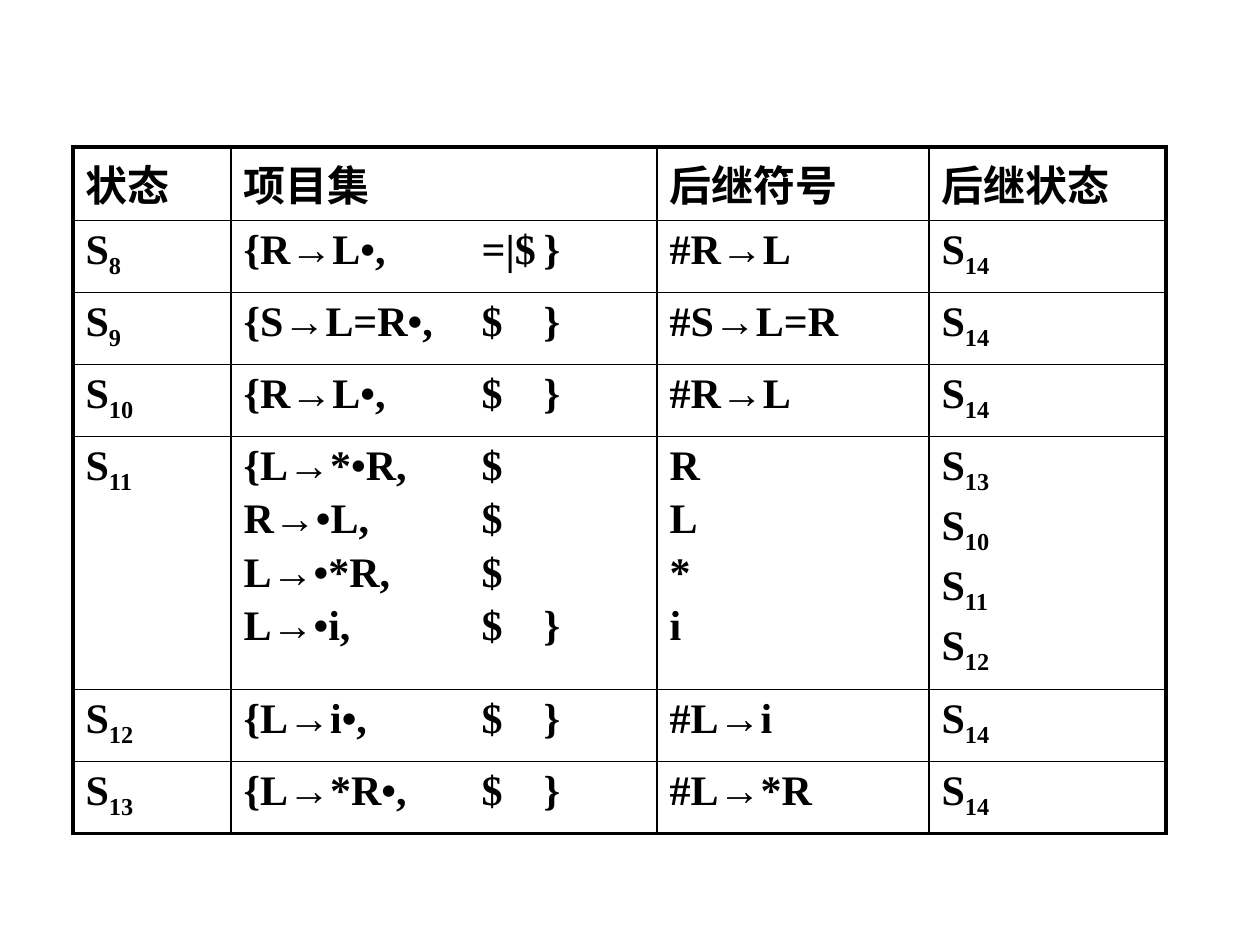
from lxml.etree import SubElement
from pptx import Presentation
from pptx.dml.color import RGBColor
from pptx.oxml.ns import qn
from pptx.util import Emu, Pt

BLACK = "000000"
FONT = "Times New Roman"
THIN, THICK = 1, 2.25
COLUMNS = [158, 426, 272, 237]
HEIGHTS = [72, 72, 72, 72, 253, 72, 72]
ITEM_TABS = [238, 300]
ROWS = [
    ["状态", "项目集", "后继符号", "后继状态"],
    ["S_8", "{R→L•,\t=|$\t}", "#R→L", "S_14"],
    ["S_9", "{S→L=R•,\t$\t}", "#S→L=R", "S_14"],
    ["S_10", "{R→L•,\t$\t}", "#R→L", "S_14"],
    ["S_11", "{L→*•R,\t$\nR→•L,\t$\nL→•*R,\t$\nL→•i,\t$\t}",
     "R\nL\n*\ni", "S_13\nS_10\nS_11\nS_12"],
    ["S_12", "{L→i•,\t$\t}", "#L→i", "S_14"],
    ["S_13", "{L→*R•,\t$\t}", "#L→*R", "S_14"],
]


def px(length):
    return Emu(round(length * 914400 / 126))


def color(value):
    return RGBColor.from_string(value)


def add_tabs(para, stops):
    tabs = SubElement(para._p.get_or_add_pPr(), qn("a:tabLst"))
    for stop in stops:
        SubElement(tabs, qn("a:tab"), pos=str(px(stop)), algn="l")


def write_line(para, line):
    if "\t" in line:
        add_tabs(para, ITEM_TABS)
    para.font.name = FONT
    para.font.size = Pt(24)
    para.font.bold = True
    para.font.color.rgb = color(BLACK)
    base, _, subscript = line.partition("_")
    para.add_run().text = base
    if subscript:
        span = para.add_run()
        span.text = subscript
        span.font._element.set("baseline", "-25000")


def write_cell(cell, text):
    frame = cell.text_frame
    for index, line in enumerate(text.split("\n")):
        para = frame.add_paragraph() if index else frame.paragraphs[0]
        if index:
            para.space_before = Pt(4)
        write_line(para, line)


def set_borders(cell, widths):
    properties = cell._tc.get_or_add_tcPr()
    for side, width in widths.items():
        line = SubElement(properties, qn(f"a:ln{side}"), w=str(Pt(width)))
        fill = SubElement(line, qn("a:solidFill"))
        SubElement(fill, qn("a:srgbClr"), val=str(color(BLACK)))
    cell.fill.background()


def add_state_table(page):
    frame = page.shapes.add_table(len(ROWS), len(COLUMNS), px(73), px(147),
                                  px(sum(COLUMNS)), px(sum(HEIGHTS)))
    table = frame.table
    table.first_row = False
    table.horz_banding = False
    for column, width in zip(table.columns, COLUMNS):
        column.width = px(width)
    for row, height in zip(table.rows, HEIGHTS):
        row.height = px(height)
    last_row, last_column = len(ROWS) - 1, len(COLUMNS) - 1
    for r, texts in enumerate(ROWS):
        for c, text in enumerate(texts):
            cell = table.cell(r, c)
            write_cell(cell, text)
            outer = {"L": c == 0, "R": c == last_column,
                     "T": r == 0, "B": r == last_row}
            set_borders(cell, {side: THICK if edge else THIN
                               for side, edge in outer.items()})


def main():
    deck = Presentation()
    deck.slide_width, deck.slide_height = px(1260), px(945)
    page = deck.slides.add_slide(deck.slide_layouts[6])
    add_state_table(page)
    deck.save("out.pptx")


if __name__ == "__main__":
    main()
